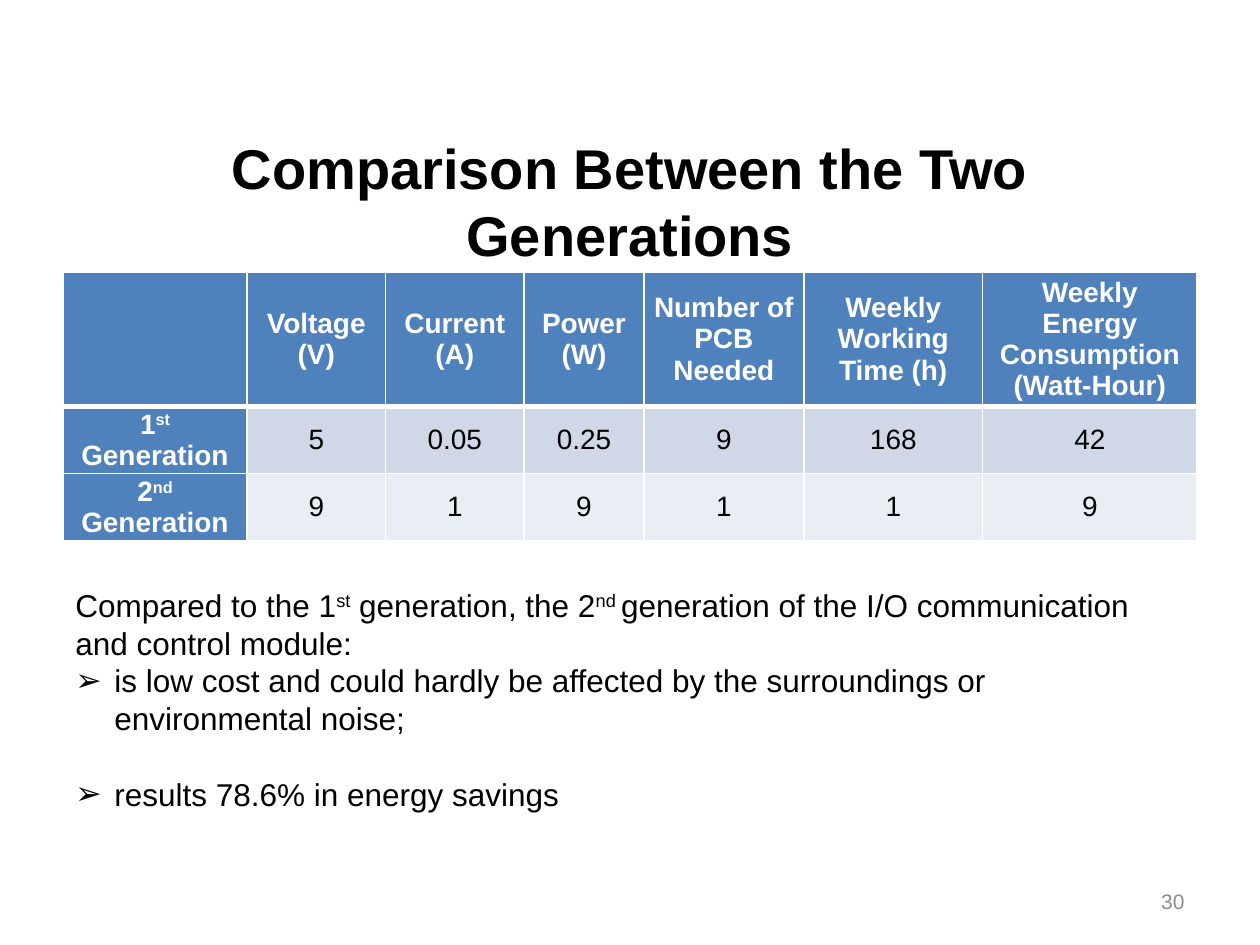
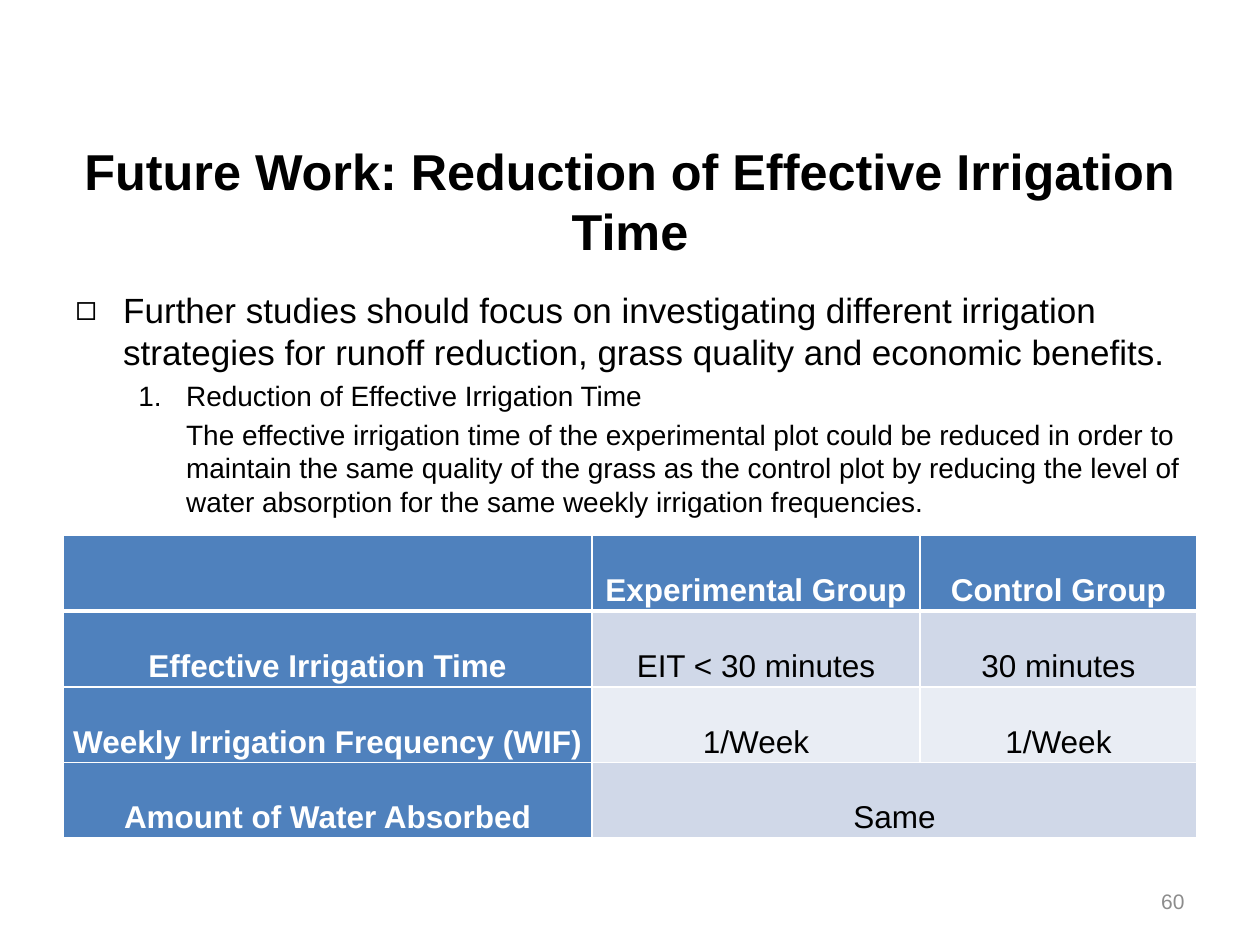
from lxml import etree
from pptx import Presentation
from pptx.dml.color import RGBColor
from pptx.enum.text import MSO_ANCHOR, PP_ALIGN
from pptx.oxml.ns import qn
from pptx.util import Inches, Pt

LEFT, CENTER, RIGHT = PP_ALIGN.LEFT, PP_ALIGN.CENTER, PP_ALIGN.RIGHT
TOP, MIDDLE = MSO_ANCHOR.TOP, MSO_ANCHOR.MIDDLE

WIDTH, HEIGHT = 10, 7.5
MARGIN, CONTENT = 0.05 * WIDTH, 0.9 * WIDTH
FONT = "Arial"
COLORS = {
    "text": "000000",
    "white": "FFFFFF",
    "number": "8C8C8C",
    "header": "4F81BD",
    "odd_band": "D0D8E8",
    "even_band": "E9EDF4",
}
TITLE_BOX = (MARGIN, 1.15, CONTENT, 0.88)
NUMBER_BOX = (7.17, 6.95, 2.33, 0.4)


def color(name):
    return RGBColor.from_string(COLORS[name])


def write(paragraph, text, size, font_color="text", bold=False, align=LEFT):
    for index, part in enumerate(text.split("^")):
        if part:
            run = paragraph.add_run()
            run.text = part
            if index % 2:
                run.font._element.set("baseline", "30000")
    paragraph.alignment = align
    paragraph.font.name = FONT
    paragraph.font.size = Pt(size)
    paragraph.font.bold = bold
    paragraph.font.color.rgb = color(font_color)


def add_text_frame(slide, box, anchor=TOP):
    shape = slide.shapes.add_textbox(*map(Inches, box))
    frame = shape.text_frame
    frame.word_wrap = True
    frame.vertical_anchor = anchor
    return frame


def set_indent(paragraph, margin, hanging=0, bullet=None, number=None):
    properties = paragraph._p.get_or_add_pPr()
    properties.set("marL", str(Inches(margin)))
    properties.set("indent", str(-Inches(hanging)))
    if bullet:
        etree.SubElement(properties, qn("a:buFont"), typeface=FONT)
        etree.SubElement(properties, qn("a:buChar"), char=bullet)
    elif number:
        etree.SubElement(properties, qn("a:buAutoNum"), type=number)


def add_body(slide, box, items):
    frame = add_text_frame(slide, box)
    for index, (text, size, space_before, indent) in enumerate(items):
        paragraph = frame.add_paragraph() if index else frame.paragraphs[0]
        set_indent(paragraph, **indent)
        write(paragraph, text, size)
        if index:
            paragraph.space_before = Pt(space_before)


def set_borders(cell, top, bottom):
    properties = cell._tc.get_or_add_tcPr()
    for side, width in (("L", 1), ("R", 1), ("T", top), ("B", bottom)):
        line = etree.SubElement(properties, qn("a:ln" + side), w=str(Pt(width)))
        fill = etree.SubElement(line, qn("a:solidFill"))
        etree.SubElement(fill, qn("a:srgbClr"), val=COLORS["white"])


def add_comparison_table(slide, left, top, columns, row_heights, rows, size, line_spacing=None):
    frame = slide.shapes.add_table(
        len(rows), len(columns), Inches(left), Inches(top),
        Inches(sum(columns)), Inches(sum(row_heights)))
    table = frame.table
    table.horz_banding = False
    for column, width in zip(table.columns, columns):
        column.width = Inches(width)
    for row_index, values in enumerate(rows):
        table.rows[row_index].height = Inches(row_heights[row_index])
        band = "odd_band" if row_index % 2 else "even_band"
        for column_index, value in enumerate(values):
            cell = table.cell(row_index, column_index)
            heading = row_index == 0 or column_index == 0
            set_borders(cell, 3 if row_index == 1 else 1, 1 if row_index else 3)
            cell.fill.solid()
            cell.fill.fore_color.rgb = color("header" if heading else band)
            cell.vertical_anchor = MIDDLE
            cell.margin_left = cell.margin_right = Inches(0.07)
            cell.margin_top = cell.margin_bottom = 0
            paragraph = cell.text_frame.paragraphs[0]
            write(paragraph, value, size, "white" if heading else "text", heading, CENTER)
            if line_spacing:
                paragraph.line_spacing = line_spacing
    return table


def add_base_slide(presentation, title, title_size, number):
    slide = presentation.slides.add_slide(presentation.slide_layouts[6])
    title_frame = add_text_frame(slide, TITLE_BOX, MIDDLE)
    write(title_frame.paragraphs[0], title, title_size, bold=True, align=CENTER)
    number_frame = add_text_frame(slide, NUMBER_BOX, MIDDLE)
    write(number_frame.paragraphs[0], number, 12, "number", align=RIGHT)
    return slide


def build_generations_slide(presentation):
    slide = add_base_slide(presentation, "Comparison Between the Two Generations", 32, "30")
    rows = [
        ["", "Voltage (V)", "Current (A)", "Power (W)", "Number of PCB Needed",
         "Weekly Working Time (h)", "Weekly Energy Consumption (Watt-Hour)"],
        ["1^st^ Generation", "5", "0.05", "0.25", "9", "168", "42"],
        ["2^nd^ Generation", "9", "1", "9", "1", "1", "9"],
    ]
    add_comparison_table(slide, MARGIN, 2.16, [1.46, 1.1, 1.1, 0.95, 1.27, 1.42, 1.7],
                         [0.98, 0.49, 0.49], rows, 16)
    arrow = {"margin": 0.31, "hanging": 0.31, "bullet": "➢"}
    add_body(slide, (MARGIN, 4.6, CONTENT, 1.92), [
        ("Compared to the 1^st^ generation, the 2^nd ^generation of the I/O "
         "communication and control module:", 18, 0, {"margin": 0}),
        ("is low cost and could hardly be affected by the surroundings or "
         "environmental noise;", 18, 0, arrow),
        ("results 78.6% in energy savings", 18, 21.6, arrow),
    ])


def build_future_work_slide(presentation):
    slide = add_base_slide(
        presentation, "Future Work: Reduction of Effective Irrigation Time", 28.8, "60")
    add_body(slide, (MARGIN, 2.24, CONTENT, 4.46), [
        ("Further studies should focus on investigating different irrigation strategies "
         "for runoff reduction, grass quality and economic benefits.", 20, 0,
         {"margin": 0.38, "hanging": 0.38, "bullet": "◻"}),
        ("Reduction of Effective Irrigation Time", 16, 3.2,
         {"margin": 0.88, "hanging": 0.38, "number": "arabicPeriod"}),
        ("The effective irrigation time of the experimental plot could be reduced in order "
         "to maintain the same quality of the grass as the control plot by reducing the "
         "level of water absorption for the same weekly irrigation frequencies.", 16, 3.2,
         {"margin": 0.88}),
    ])
    rows = [
        ["", "Experimental Group", "Control Group"],
        ["Effective Irrigation Time", "EIT < 30 minutes", "30 minutes"],
        ["Weekly Irrigation Frequency (WIF)", "1/Week", "1/Week"],
        ["Amount of Water Absorbed", "Same", ""],
    ]
    table = add_comparison_table(slide, MARGIN, 4.25, [4.2, 2.6, 2.2],
                                 [0.56] * len(rows), rows, 18, line_spacing=2.0)
    table.cell(3, 1).merge(table.cell(3, 2))


def main():
    presentation = Presentation()
    presentation.slide_width = Inches(WIDTH)
    presentation.slide_height = Inches(HEIGHT)
    build_generations_slide(presentation)
    build_future_work_slide(presentation)
    presentation.save("out.pptx")


if __name__ == "__main__":
    main()
